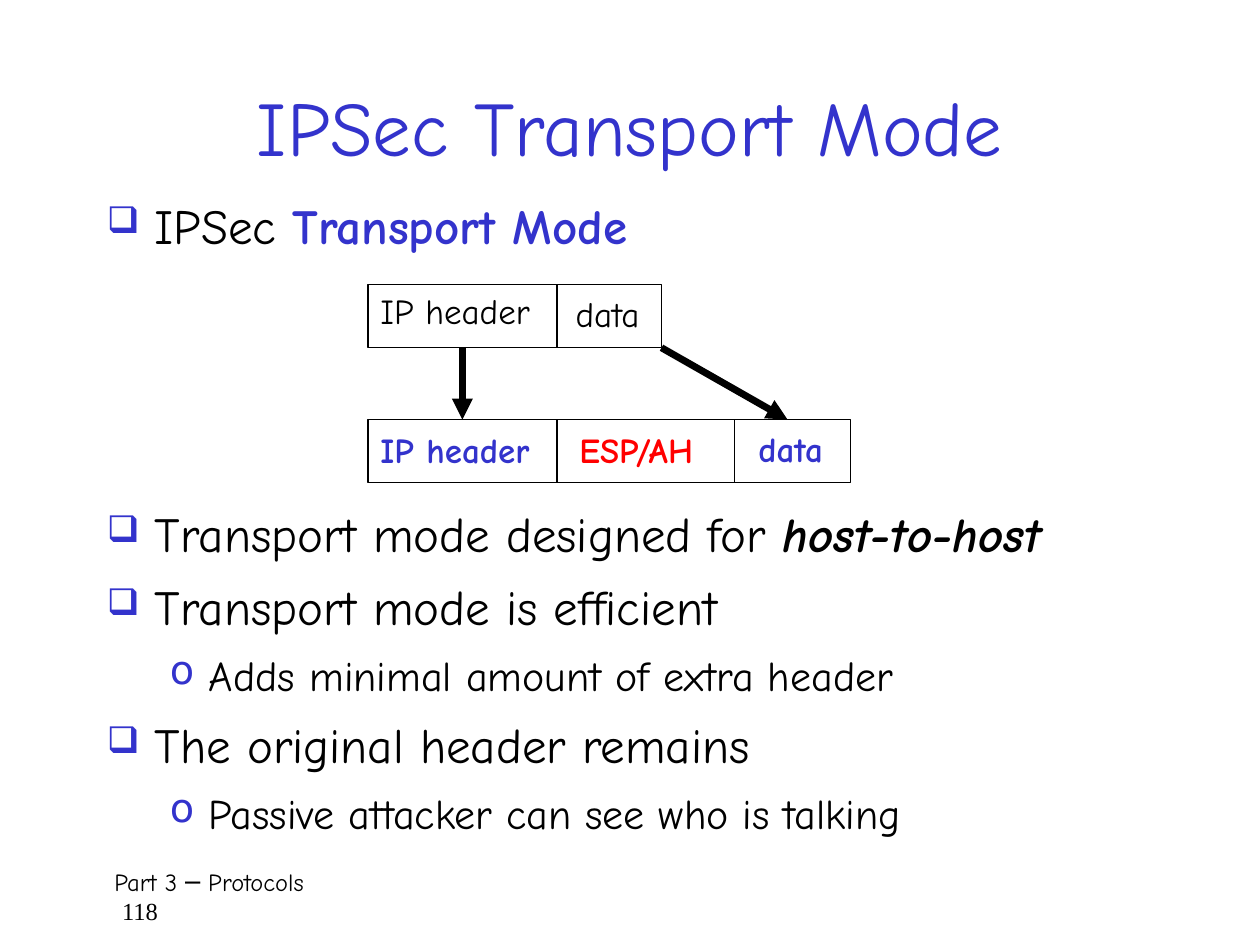
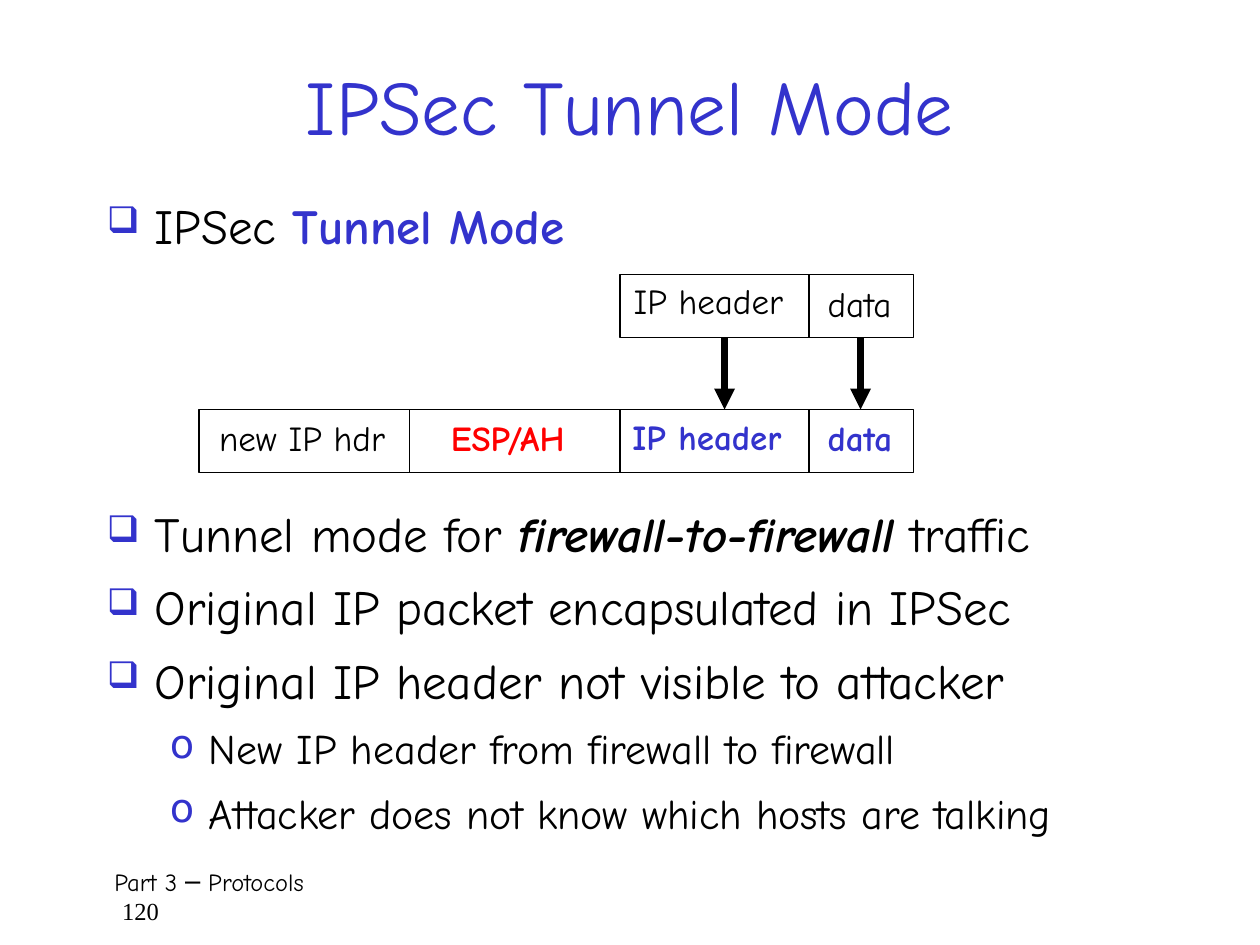
from lxml.etree import SubElement
from pptx import Presentation
from pptx.dml.color import RGBColor
from pptx.enum.shapes import MSO_CONNECTOR, MSO_SHAPE
from pptx.enum.text import MSO_ANCHOR, PP_ALIGN
from pptx.oxml.ns import qn
from pptx.util import Inches, Pt

HUE = {"blue": "3333CC", "black": "000000", "red": "FF0000"}
FONT, NUMFONT = "Comic Neue", "Times New Roman"
FOOT = "Part 3 ─ Protocols"
CELL = 0.5

# Run looks: colour, bold, italic
LOOKS = {"plain": ("black", False, False), "key": ("blue", True, False),
         "new": ("red", True, False), "stress": ("black", True, True)}

# Bullet levels: font size, left margin, hang, bullet, bullet size %
LEVELS = [(28, 0.38, 0.38, "❑", 75), (24, 0.81, 0.31, "o", 95)]

# Cells: text, look, width, label offset right and down
# Bullets: level, then runs of (text, look)
SLIDES = [
    {"title": "IPSec Transport Mode", "top": 0.5, "number": "118",
     "lead": [(0, [("IPSec ", "plain"), ("Transport Mode", "key")])],
     "rows": [
         (2.92, 2.26, [("IP header", "plain", 1.5, 0, -0.01),
                       ("data", "plain", 0.83, 0.05, 0.01)]),
         (2.92, 3.33, [("IP header", "key", 1.5, 0, 0.02),
                       ("ESP/AH", "new", 1.41, 0.08, 0.02),
                       ("data", "key", 0.92, 0.09, 0.01)])],
     "arrows": [(3.67, 3.67), (5.25, 6.25)],
     "points": [
         (0, [("Transport mode designed for ", "plain"),
              ("host-to-host", "stress")]),
         (0, [("Transport mode is efficient", "plain")]),
         (1, [("Adds minimal amount of extra header", "plain")]),
         (0, [("The original header remains", "plain")]),
         (1, [("Passive attacker can see who is talking", "plain")])]},
    {"title": "IPSec Tunnel Mode", "top": 0.33, "number": "120",
     "lead": [(0, [("IPSec ", "plain"), ("Tunnel Mode", "key")])],
     "rows": [
         (4.92, 2.18, [("IP header", "plain", 1.5, 0.01, -0.01),
                       ("data", "plain", 0.83, 0.05, 0.01)]),
         (1.58, 3.25, [("new IP hdr", "plain", 1.67, 0.06, 0.01),
                       ("ESP/AH", "new", 1.67, 0.23, 0.01),
                       ("IP header", "key", 1.5, 0, 0),
                       ("data", "key", 0.83, 0.05, 0.01)])],
     "arrows": [(5.75, 5.75), (6.83, 6.83)],
     "points": [
         (0, [("Tunnel mode for ", "plain"),
              ("firewall-to-firewall", "stress"), (" traffic", "plain")]),
         (0, [("Original IP packet encapsulated in IPSec", "plain")]),
         (0, [("Original IP header not visible to attacker", "plain")]),
         (1, [("New IP header from firewall to firewall", "plain")]),
         (1, [("Attacker does not know which hosts are talking", "plain")])]},
]


def color(name):
    return RGBColor.from_string(HUE[name])


def add_box(slide, left, top, width, height):
    frame = slide.shapes.add_textbox(*map(Inches, (left, top, width, height))).text_frame
    frame.word_wrap = True
    return frame


def add_run(para, text, size, hue="black", bold=False, slant=False, face=FONT):
    run = para.add_run()
    run.text = text
    font = run.font
    font.name, font.size, font.bold, font.italic = face, Pt(size), bold, slant
    font.color.rgb = color(hue)


def next_para(frame, index):
    return frame.add_paragraph() if index else frame.paragraphs[0]


def indent(para, left, hang=0):
    props = para._p.get_or_add_pPr()
    props.set("marL", str(Inches(left)))
    props.set("indent", str(-Inches(hang)))
    return props


def add_list(slide, top, height, items, spaced):
    frame = add_box(slide, 0.75, top, 8.92, height)
    for i, (level, runs) in enumerate(items):
        size, left, hang, mark, scale = LEVELS[level]
        para = next_para(frame, i)
        para.level = level
        props = indent(para, left, hang)
        if spaced:
            para.line_spacing = 0.9
        before = SubElement(props, qn("a:spcBef"))
        SubElement(before, qn("a:spcPct"), val="20000")
        if spaced:
            para.space_after = Pt(6)
        tint = SubElement(props, qn("a:buClr"))
        SubElement(tint, qn("a:srgbClr"), val=HUE["blue"])
        SubElement(props, qn("a:buSzPct"), val=str(scale * 1000))
        SubElement(props, qn("a:buChar"), char=mark)
        for text, look in runs:
            add_run(para, text, size, *LOOKS[look])


def add_line(slide, start, end, weight=0.75, arrow=False):
    line = slide.shapes.add_connector(MSO_CONNECTOR.STRAIGHT,
                                      *map(Inches, (*start, *end)))
    line.line.color.rgb = color("black")
    line.line.width = Pt(weight)
    if arrow:
        SubElement(line.line._get_or_add_ln(), qn("a:tailEnd"), type="triangle")
    SubElement(line._element.spPr, qn("a:effectLst"))


def add_row(slide, left, top, cells):
    """Draw a packet: one frame, dividers between fields, a label in each."""
    total = sum(cell[2] for cell in cells)
    frame = slide.shapes.add_shape(MSO_SHAPE.RECTANGLE,
                                   *map(Inches, (left, top, total, CELL)))
    frame.shadow.inherit = False
    frame.fill.background()
    frame.line.color.rgb = color("black")
    frame.line.width = Pt(0.75)
    x = left
    for i, (text, look, width, right, down) in enumerate(cells):
        if i:
            add_line(slide, (x, top), (x, top + CELL))
        label = add_box(slide, x + right, top + down, 1.8, 0.49)
        add_run(label.paragraphs[0], text, 20, *LOOKS[look])
        x += width


def add_title(slide, text, top):
    frame = add_box(slide, 0.75, top, 8.5, 1)
    frame.vertical_anchor = MSO_ANCHOR.MIDDLE
    para = frame.paragraphs[0]
    para.alignment = PP_ALIGN.CENTER
    add_run(para, text, 44, "blue")


def add_foot(slide, number):
    frame = add_box(slide, 0.75, 6.83, 8.58, 0.5)
    for i, (text, face, left) in enumerate([(FOOT, FONT, 0.06),
                                            (number, NUMFONT, 0.12)]):
        para = next_para(frame, i)
        indent(para, left)
        add_run(para, text, 14, face=face)


def main():
    deck = Presentation()
    deck.slide_width, deck.slide_height = Inches(10), Inches(7.5)
    for page in SLIDES:
        slide = deck.slides.add_slide(deck.slide_layouts[6])
        add_foot(slide, page["number"])
        add_title(slide, page["title"], page["top"])
        add_list(slide, 1.5, 0.67, page["lead"], False)
        for row in page["rows"]:
            add_row(slide, *row)
        high, low = (row[1] for row in page["rows"])
        for start, end in page["arrows"]:
            add_line(slide, (start, high + CELL), (end, low), 4, True)
        add_list(slide, 4, 2.75, page["points"], True)
    deck.save("out.pptx")


if __name__ == "__main__":
    main()
